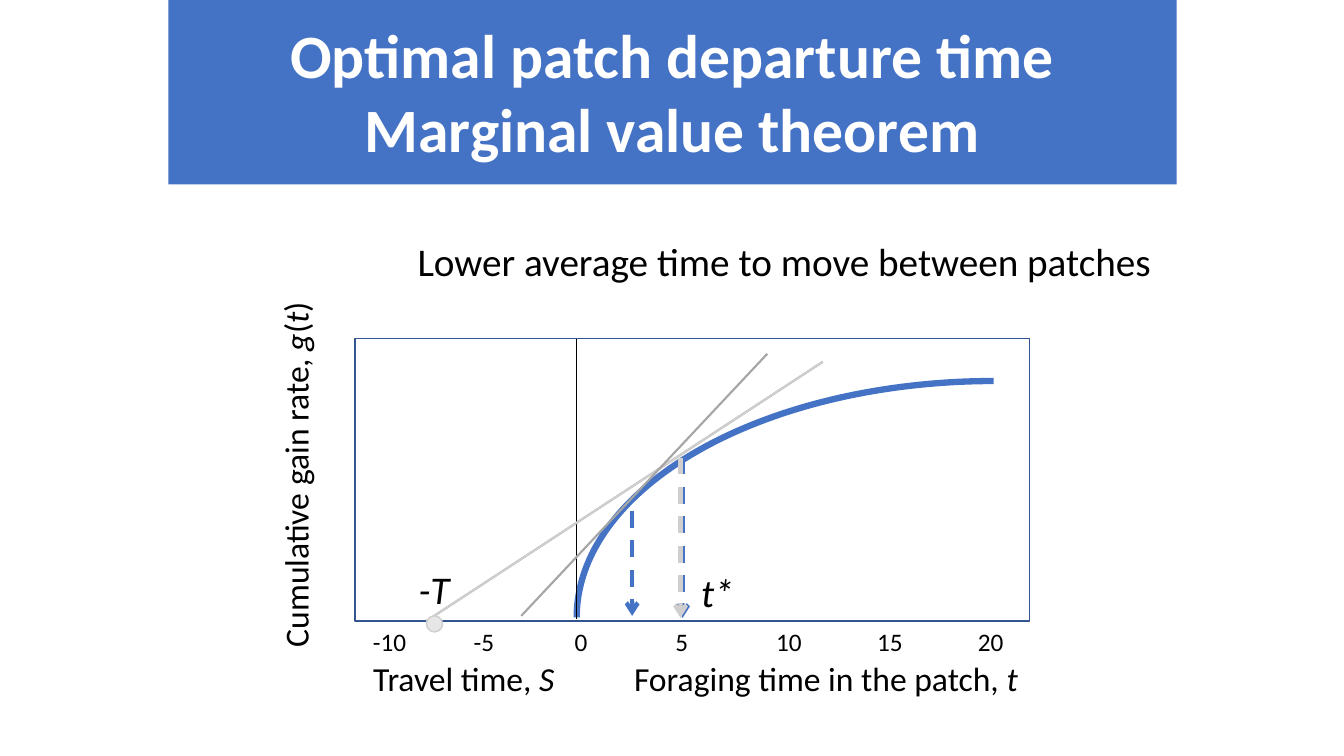
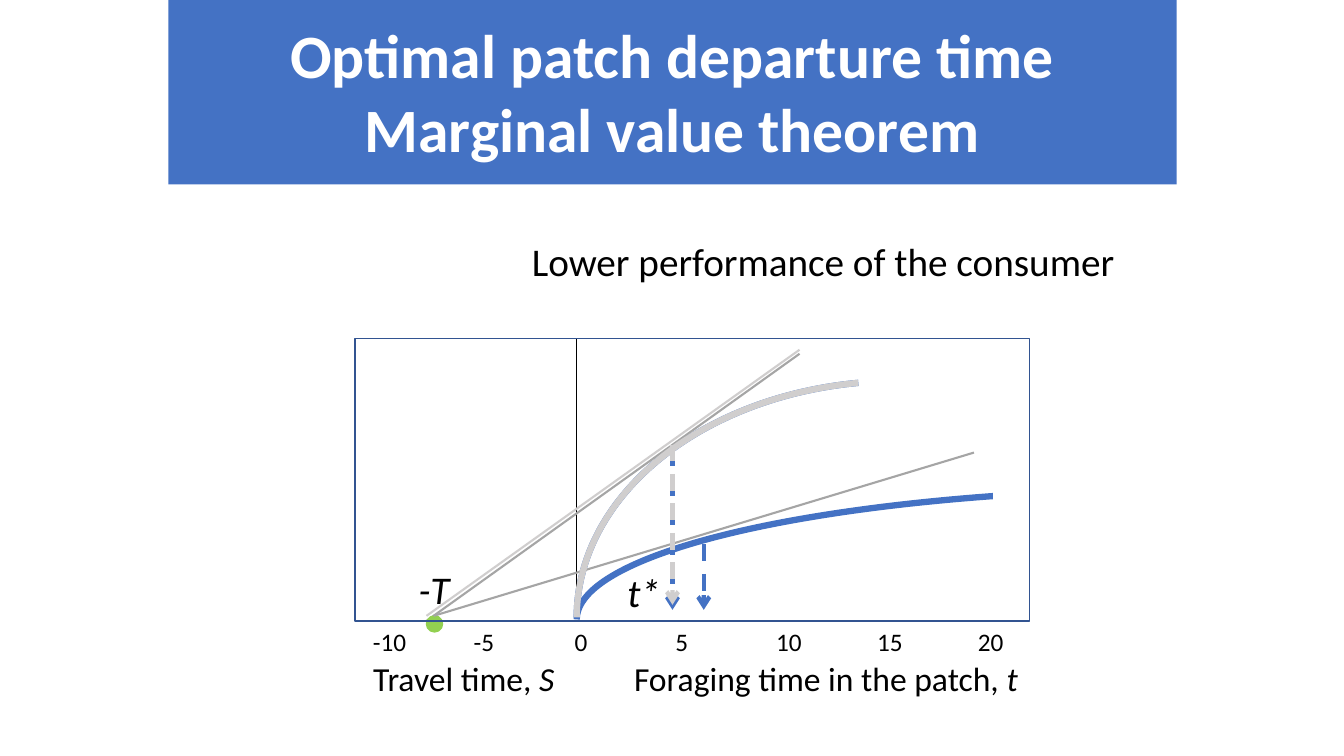
from dataclasses import dataclass

from lxml import etree
from pptx import Presentation
from pptx.dml.color import RGBColor
from pptx.enum import dml, shapes, text
from pptx.oxml import ns
from pptx.util import Inches, Pt

FONT = "Calibri"
COLORS = {
    "blue": "4472C4", "frame": "325491", "black": "000000", "white": "FFFFFF",
    "tangent": "A5A5A5", "ghost": "D0CECE", "pale": "E7E6E6", "green": "92D050",
}
TITLE = ["Optimal patch departure time", "Marginal value theorem"]
TICKS = "-10\t-5\t0 \t5\t10\t15\t20"
ORIGIN_X = 2.2  # zero on the time axis, from the left of the frame
LEFT, CENTER, RIGHT = text.PP_ALIGN.LEFT, text.PP_ALIGN.CENTER, text.PP_ALIGN.RIGHT


@dataclass
class Box:
    left: float
    top: float
    width: float
    height: float

    def inside(self, x, y, w, h):
        """Lengths of a part whose corner is offset from this box."""
        return [Inches(v) for v in (self.left + x, self.top + y, w, h)]

    def point(self, x, y):
        return [Inches(self.left + x), Inches(self.top + y)]


PAGE = Box(0, 0, 13.33, 7.5)
BAND = Box(1.67, -0.03, 10, 1.86)
PLOT = Box(3.52, 3.36, 6.69, 2.8)


def rgb(name):
    return RGBColor.from_string(COLORS[name])


def format_text(p, content, size=24, color="black", bold=False, italic=False, align=LEFT):
    """Fill a paragraph; underscores switch italics on and off."""
    p.alignment = align
    for i, part in enumerate(content.split("_")):
        if not part:
            continue
        r = p.add_run()
        r.text = part
        r.font.name, r.font.size, r.font.bold = FONT, Pt(size), bold
        r.font.italic = italic != bool(i % 2)
        r.font.color.rgb = rgb(color)


def add_text(sl, content, pos, wrap=False, rotation=0, tab=None, **fmt):
    sp = sl.shapes.add_textbox(*pos)
    sp.rotation = rotation
    tf = sp.text_frame
    tf.word_wrap = wrap
    p = tf.paragraphs[0]
    if tab:
        tabs = etree.SubElement(p._p.get_or_add_pPr(), ns.qn("a:tabLst"))
        for i in range(1, content.count("\t") + 1):
            etree.SubElement(tabs, ns.qn("a:tab"), pos=str(Inches(tab * i)), algn="l")
    format_text(p, content, **fmt)


def add_shape(sl, kind, pos, line, width=1, fill=None):
    sp = sl.shapes.add_shape(kind, *pos)
    sp.shadow.inherit = False
    if fill:
        sp.fill.solid()
        sp.fill.fore_color.rgb = rgb(fill)
    else:
        sp.fill.background()
    sp.line.color.rgb = rgb(line)
    sp.line.width = Pt(width)
    return sp


def add_line(sl, start, end, color="tangent", width=1.5, arrow=False):
    c = sl.shapes.add_connector(shapes.MSO_CONNECTOR.STRAIGHT, *start, *end)
    c.line.color.rgb = rgb(color)
    c.line.width = Pt(width)
    if arrow:
        c.line.dash_style = dml.MSO_LINE.DASH
        etree.SubElement(c.line._get_or_add_ln(), ns.qn("a:tailEnd"), type="arrow")
    etree.SubElement(c._element.spPr, ns.qn("a:effectLst"))


# Parts of the graph, offset from the plot frame
def gain_curve(sl, box, y, w, h, color="blue", start=None):
    sp = add_shape(sl, shapes.MSO_SHAPE.ARC, box.inside(ORIGIN_X, y, w, h), color, 4.5)
    if start:
        sp.adjustments[0] = start
        sp.adjustments[1] = 0
    sp._element.spPr.get_or_add_xfrm().set("flipH", "1")


def tangent(sl, box, start, end, color="tangent"):
    add_line(sl, box.point(*start), box.point(*end), color)


def departure(sl, box, x, top, bottom, color="blue"):
    add_line(sl, box.point(x, top), box.point(x, bottom), color, 3, arrow=True)


def travel_dot(sl, box, fill, line):
    pos = box.inside(0.71, 2.75, 0.16, 0.16)
    add_shape(sl, shapes.MSO_SHAPE.OVAL, pos, line, fill=fill)


def frame(sl, box):
    pos = box.inside(0, 0, box.width, box.height)
    add_shape(sl, shapes.MSO_SHAPE.RECTANGLE, pos, "frame")


def axes(sl, box, star_x):
    """Vertical axis, tick labels, axis names and the two marked times."""
    add_line(sl, box.point(ORIGIN_X, 0), box.point(ORIGIN_X, 2.78), "black", 1)
    add_text(sl, TICKS, box.inside(0.08, box.height, 6.52, 0.4), size=18, tab=1)
    add_text(sl, "Foraging time in the patch, _t_", box.inside(2.67, 3.12, 4.04, 0.5))
    add_text(sl, "Travel time, _S_", box.inside(0.07, 3.12, 2.02, 0.5), align=CENTER)
    for label, x, y, w in (("-T", 0.53, 2.2, 0.51), ("t*", star_x, 2.23, 0.53)):
        add_text(sl, label, box.inside(x, y, w, 0.57), size=28, italic=True, align=CENTER)


# Slides
def base_slide(prs, caption, left, width):
    """Slide with the title band and a caption above the plot."""
    sl = prs.slides.add_slide(prs.slide_layouts[5])
    sp = sl.shapes.title
    sp.left, sp.top, sp.width, sp.height = BAND.inside(0, 0, BAND.width, BAND.height)
    sp.fill.solid()
    sp.fill.fore_color.rgb = rgb("blue")
    tf = sp.text_frame
    tf.word_wrap = True
    tf.auto_size = text.MSO_AUTO_SIZE.NONE
    tf.vertical_anchor = text.MSO_ANCHOR.MIDDLE
    for i, line in enumerate(TITLE):
        p = tf.add_paragraph() if i else tf.paragraphs[0]
        format_text(p, line, size=44, color="white", bold=True, align=CENTER)
    add_text(sl, caption, PAGE.inside(left, 2.31, width, 0.57), wrap=True, size=28, align=RIGHT)
    return sl


def travel_slide(prs, box):
    sl = base_slide(prs, "Lower average time to move between patches", 3.71, 7.8)
    gain_curve(sl, box, 0.42, 8.27, 4.69)
    frame(sl, box)
    axes(sl, box, star_x=3.33)
    add_text(sl, "Cumulative gain rate, _g_(_t_)", box.inside(-2.42, 1.08, 3.66, 0.5), rotation=270)
    # Longer travel, then shorter travel
    far, far_end = (0.71, 2.8), (4.64, 0.23)
    tangent(sl, box, far, far_end)
    departure(sl, box, 3.25, 1.18, 2.77)
    departure(sl, box, 2.75, 1.71, 2.75)
    departure(sl, box, 3.23, 1.18, 2.77, "ghost")
    tangent(sl, box, far, far_end, "ghost")
    travel_dot(sl, box, "pale", "ghost")
    tangent(sl, box, (1.65, 2.75), (4.09, 0.15))


def performance_slide(prs, box):
    sl = base_slide(prs, "Lower performance of the consumer", 3.28, 7.87)
    high = dict(y=0.42, w=6.38, h=4.69, start=167.81)
    # High performance
    gain_curve(sl, box, **high)
    axes(sl, box, star_x=2.6)
    tangent(sl, box, (0.71, 2.8), (4.41, 0.15))
    departure(sl, box, 3.15, 1.1, 2.69)
    travel_dot(sl, box, "green", "green")
    # Low performance, with its curve cut off on the right
    gain_curve(sl, box, 1.49, 12.28, 2.59, start=160.15)
    tangent(sl, box, (0.78, 2.75), (6.14, 1.13))
    departure(sl, box, 3.46, 2.04, 2.69)
    cover = box.inside(6.34, 1.13, 2.24, 0.91)
    add_shape(sl, shapes.MSO_SHAPE.RECTANGLE, cover, "white", fill="white")
    frame(sl, box)
    # High performance, greyed out
    gain_curve(sl, box, color="ghost", **high)
    tangent(sl, box, (0.71, 2.75), (4.41, 0.11), "ghost")
    departure(sl, box, 3.15, 1.05, 2.64, "ghost")


def main():
    prs = Presentation()
    prs.slide_width, prs.slide_height = Inches(PAGE.width), Inches(PAGE.height)
    travel_slide(prs, PLOT)
    performance_slide(prs, PLOT)
    prs.save("out.pptx")


if __name__ == "__main__":
    main()
